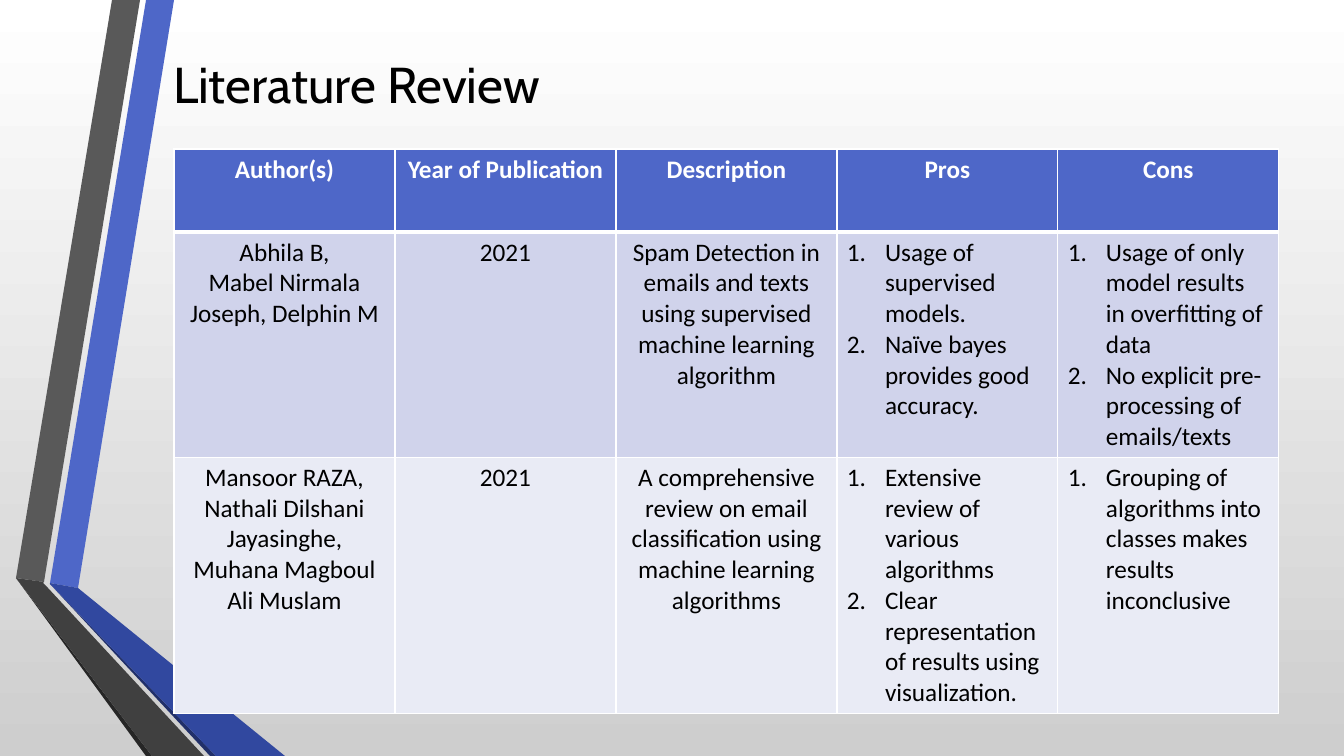
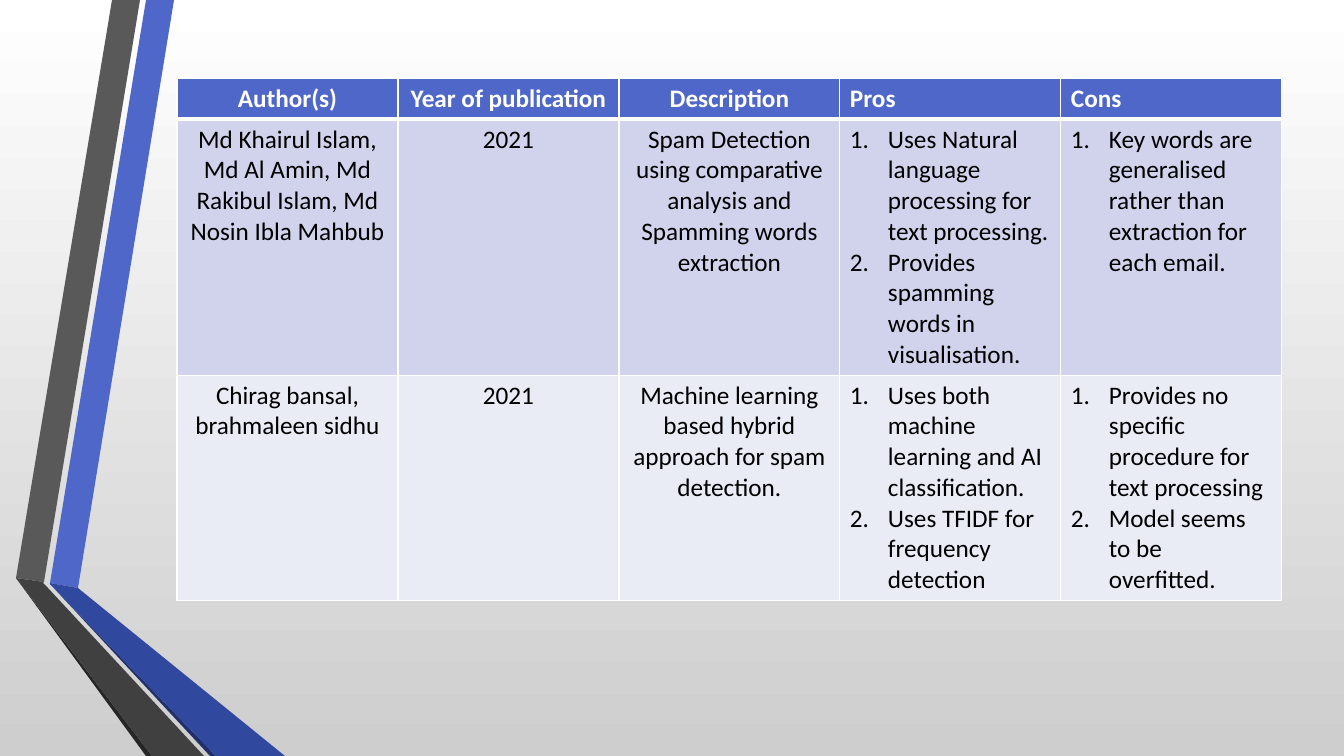
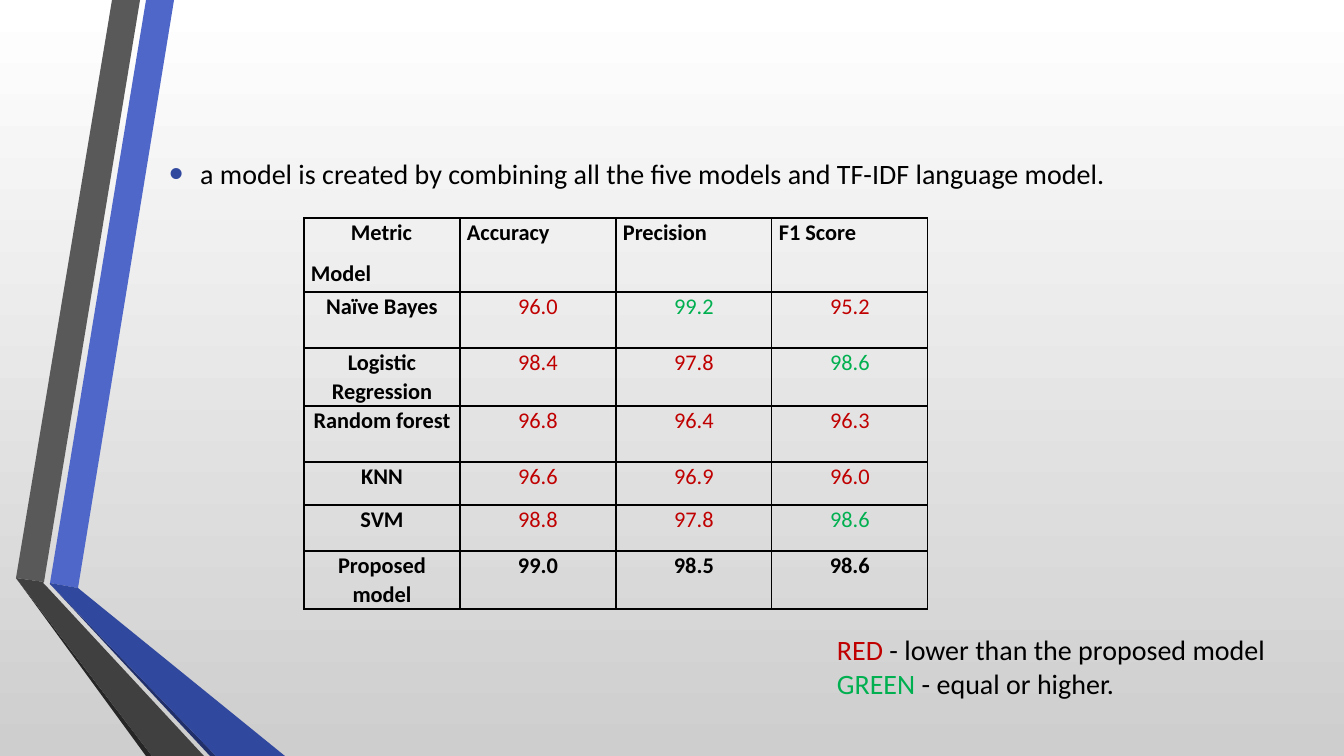
from lxml import etree
from pptx import Presentation
from pptx import util as u
from pptx.dml.color import RGBColor
from pptx.enum import text
from pptx.oxml import ns

PX = 914400 / 100.8  # EMU in one px
WIDE, HIGH = 1344, 756
FONT, HEAD = "Calibri", "Cabin"

WHITE = RGBColor(0xFF, 0xFF, 0xFF)
BLACK = RGBColor(0x00, 0x00, 0x00)
SILVER = RGBColor(0xCE, 0xCE, 0xCE)
BLUE = RGBColor(0x4E, 0x67, 0xC8)
ROYAL = RGBColor(0x31, 0x48, 0x9F)
NAVY = RGBColor(0x21, 0x30, 0x6A)
GREY = RGBColor(0x59, 0x59, 0x59)
COAL = RGBColor(0x40, 0x40, 0x40)
SOOT = RGBColor(0x26, 0x26, 0x26)
LILAC = RGBColor(0xD0, 0xD3, 0xEB)
PALE = RGBColor(0xE9, 0xEB, 0xF5)
RED = RGBColor(0xC0, 0x00, 0x00)
GREEN = RGBColor(0x00, 0xB0, 0x50)

LEFT, MID = text.PP_ALIGN.LEFT, text.PP_ALIGN.CENTER

BANDS = [
    (BLUE, [(50, 583), (78, 588), (174, 0), (146, 0)]),
    (GREY, [(140, 0), (112, 0), (16, 578), (44, 582)]),
    (SOOT, [(16, 578), (146, 756), (152, 756)]),
    (NAVY, [(50, 584), (210, 756), (216, 756)]),
    (ROYAL, [(50, 583), (50, 584), (216, 756), (285, 756), (78, 588)]),
    (COAL, [(204, 756), (48, 588), (43, 583), (44, 582), (16, 578),
            (152, 756)]),
]

REVIEW = [
    ["Author(s)", "Year of Publication", "Description", "Pros", "Cons"],
    ["Abhila B,\nMabel Nirmala Joseph, Delphin M", "2021",
     "Spam Detection in emails and texts using supervised machine learning "
     "algorithm",
     ["Usage of supervised models.", "Naïve bayes provides good accuracy."],
     ["Usage of only model results in overfitting of data",
      "No explicit pre-processing of emails/texts"]],
    ["Mansoor RAZA, Nathali Dilshani Jayasinghe, Muhana Magboul Ali Muslam",
     "2021",
     "A comprehensive review on email classification using machine learning "
     "algorithms",
     ["Extensive review of various algorithms",
      "Clear representation of results using visualization."],
     ["Grouping of algorithms into classes makes results inconclusive"]],
]

MORE = [
    ["Author(s)", "Year of publication", "Description", "Pros", "Cons"],
    ["Md Khairul Islam, Md Al Amin, Md Rakibul Islam, Md Nosin Ibla Mahbub",
     "2021",
     "Spam Detection using comparative analysis and Spamming words extraction",
     ["Uses Natural language processing for text processing.",
      "Provides spamming words in visualisation."],
     ["Key words are generalised rather than extraction for each email."]],
    ["Chirag bansal, brahmaleen sidhu", "2021",
     "Machine learning based hybrid approach for spam detection.",
     ["Uses both machine learning and AI classification.",
      "Uses TFIDF for frequency detection"],
     ["Provides no specific procedure for text processing",
      "Model seems to be overfitted."]],
]

SCORES = [
    ["Metric\nModel", "Accuracy", "Precision", "F1 Score"],
    ["Naïve Bayes", "96.0", "99.2", "95.2"],
    ["Logistic Regression", "98.4", "97.8", "98.6"],
    ["Random forest", "96.8", "96.4", "96.3"],
    ["KNN", "96.6", "96.9", "96.0"],
    ["SVM", "98.8", "97.8", "98.6"],
    ["Proposed model", "99.0", "98.5", "98.6"],
]


def px(n):
    return u.Emu(round(n * PX))


def place(shape, box):
    shape.left, shape.top, shape.width, shape.height = map(px, box)


def ink(font, size, color, bold=False, face=FONT):
    font.size, font.bold, font.name = u.Pt(size), bold, face
    font.color.rgb = color


def node(root, tag, **attrs):
    return etree.SubElement(root, ns.qn(tag), attrs)


def indent(para, left, first=0):
    """Set the margins of a paragraph and return its properties."""
    props = para._p.get_or_add_pPr()
    props.set("marL", str(px(left)))
    props.set("indent", str(px(first)))
    return props


def edge(cell, color, **widths):
    """Draw the cell's borders; call before the cell is filled."""
    props = cell._tc.get_or_add_tcPr()
    for side in "LRTB":
        line = node(props, "a:ln" + side, w=str(u.Pt(widths.get(side, 1))))
        paint = node(line, "a:solidFill")
        node(paint, "a:srgbClr", val=str(color))


def grid(slide, rows, left, top, width, heights):
    """Add a table with equal columns and return it."""
    cols = len(rows[0])
    frame = slide.shapes.add_table(len(rows), cols, px(left), px(top),
                                   px(width * cols), px(sum(heights)))
    table = frame.table
    table.horz_banding = False
    for col in table.columns:
        col.width = px(width)
    for row, high in zip(table.rows, heights):
        row.height = px(high)
    return table


def papers(slide, rows, left, top, heights, heads):
    """Table of papers; list cells are numbered, others centred."""
    table = grid(slide, rows, left, top, 221, heights)
    fills = [BLUE, LILAC, PALE]
    for r, row in enumerate(rows):
        for c, item in enumerate(row):
            cell = table.cell(r, c)
            listed = isinstance(item, list)
            cell.text = "\n".join(item) if listed else item
            edge(cell, WHITE, T=3 if r == 1 else 1, B=1 if r else 3)
            cell.fill.solid()
            cell.fill.fore_color.rgb = fills[r]
            for para in cell.text_frame.paragraphs:
                para.alignment = LEFT if listed else MID if r else heads[c]
                if listed:
                    node(indent(para, 38, -38), "a:buAutoNum",
                         type="arabicPeriod")
                ink(para.font, 18, BLACK if r else WHITE, not r)


def scores(slide, rows, left, top, heights):
    """Table of metrics, coloured against the last row."""
    table = grid(slide, rows, left, top, 156, heights)
    table.first_row = False
    best = rows[-1]
    for r, row in enumerate(rows):
        for c, item in enumerate(row):
            cell = table.cell(r, c)
            cell.text = item
            cell.margin_left = cell.margin_right = px(7)
            cell.margin_top = cell.margin_bottom = 0
            edge(cell, BLACK)
            cell.fill.background()
            plain = r == 0 or c == 0 or row is best
            color = BLACK
            if not plain:
                color = RED if float(item) < float(best[c]) else GREEN
            for para in cell.text_frame.paragraphs:
                para.alignment = MID if r else LEFT
                para.line_spacing = 1.06
                para.space_after = u.Pt(8)
                ink(para.font, 16, color, plain)
    # The column label stands to the right of the row label
    indent(table.cell(0, 0).text_frame.paragraphs[0], 40)


def title(slide, words, box):
    shape = slide.shapes.title
    place(shape, box)
    frame = shape.text_frame
    frame.text = words
    frame.vertical_anchor = text.MSO_ANCHOR.MIDDLE
    para = frame.paragraphs[0]
    para.alignment = LEFT
    ink(para.font, 36, BLACK, face=HEAD)


def body(slide, words, box):
    shape = slide.placeholders[1]
    place(shape, box)
    frame = shape.text_frame
    frame.text = words
    frame.auto_size = text.MSO_AUTO_SIZE.NONE
    frame.vertical_anchor = text.MSO_ANCHOR.MIDDLE
    para = frame.paragraphs[0]
    para.alignment = text.PP_ALIGN.JUSTIFY
    para.space_after = u.Pt(6)
    props = indent(para, 31, -31)
    node(node(props, "a:buClr"), "a:srgbClr", val=str(ROYAL))
    node(props, "a:buSzPct", val="145000")
    node(props, "a:buFont", typeface="Arial")
    node(props, "a:buChar", char="•")
    ink(para.font, 20, BLACK)


def legend(slide, items, box):
    frame = slide.shapes.add_textbox(*map(px, box)).text_frame
    frame.word_wrap = True
    frame.auto_size = text.MSO_AUTO_SIZE.SHAPE_TO_FIT_TEXT
    for i, (key, note, color) in enumerate(items):
        para = frame.add_paragraph() if i else frame.paragraphs[0]
        for words, shade in ((key, color), (note, BLACK)):
            run = para.add_run()
            run.text = words
            ink(run.font, 20, shade)


def master(deck, slide):
    """Give the slide master its gradient and its bent bands."""
    base = deck.slide_master
    fill = base.background.fill
    fill.gradient()
    fill.gradient_angle = 270
    for stop, color in zip(fill.gradient_stops, (WHITE, SILVER)):
        stop.color.rgb = color
    for color, (start, *rest) in BANDS:
        path = slide.shapes.build_freeform(*start, scale=PX)
        path.add_line_segments(rest, close=True)
        band = path.convert_to_shape()
        band.shadow.inherit = False
        band.fill.solid()
        band.fill.fore_color.rgb = color
        band.line.fill.background()
        base.shapes.element.append(band.element)


def main():
    deck = Presentation()
    deck.slide_width, deck.slide_height = px(WIDE), px(HIGH)
    full, only, blank = (deck.slide_layouts[i] for i in (1, 5, 6))

    # Literature review
    first = deck.slides.add_slide(only)
    master(deck, first)
    title(first, "Literature Review", (163, 48, 1105, 70))
    papers(first, REVIEW, 174, 149, [83, 225, 256], [MID] * 5)

    # Literature review, continued
    second = deck.slides.add_slide(blank)
    papers(second, MORE, 177, 78, [41, 256, 225], [MID] * 3 + [LEFT] * 2)

    # Results
    third = deck.slides.add_slide(full)
    head = third.shapes.title.element
    head.getparent().remove(head)
    body(third, "a model is created by combining all the five models and "
         "TF-IDF language model.", (159, 116, 1105, 115))
    scores(third, SCORES, 304, 218, [74, 56, 58, 56, 43, 46, 58])
    legend(third, [("RED", " - lower than the proposed model", RED),
                   ("GREEN", " - equal or higher.", GREEN)],
           (827, 628, 463, 78))

    deck.save("out.pptx")


if __name__ == "__main__":
    main()
